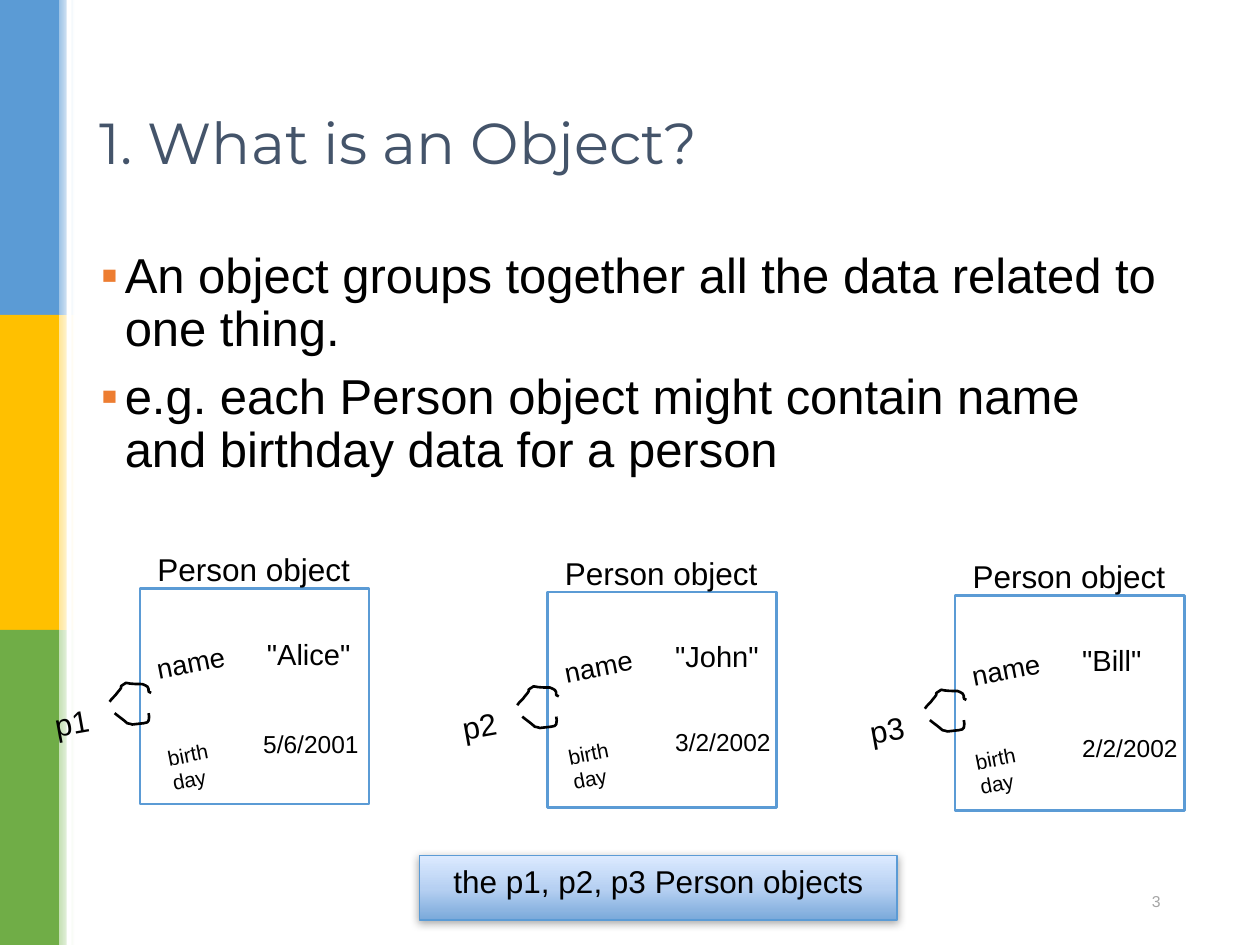
from lxml import etree
from pptx import Presentation
from pptx.dml.color import RGBColor
from pptx.enum import shapes, text
from pptx.oxml import parse_xml
from pptx.oxml.ns import nsdecls, qn
from pptx.util import Inches, Pt

rgb = RGBColor.from_string
BLUE = "5B9BD5"
RECTANGLE = shapes.MSO_SHAPE.RECTANGLE


def write(frame, content, size, font="Arial", color="000000", wrap=True,
          align=text.PP_ALIGN.LEFT, anchor=text.MSO_ANCHOR.TOP, bullet=None):
    """Fill a text frame, one paragraph for each line of content."""
    frame.auto_size = text.MSO_AUTO_SIZE.NONE
    frame.word_wrap = wrap
    frame.vertical_anchor = anchor
    for index, line in enumerate(content.split("\n")):
        paragraph = frame.paragraphs[0] if index == 0 else frame.add_paragraph()
        paragraph.text = line
        paragraph.alignment = align
        paragraph.space_before = Pt(0)
        if bullet:
            paragraph.line_spacing = 0.9
            paragraph.space_before = Pt(9 if index else 0)
            properties = paragraph._p.get_or_add_pPr()
            properties.set("marL", str(Inches(0.19)))
            properties.set("indent", str(-Inches(0.19)))
            bullet_color = etree.SubElement(properties, qn("a:buClr"))
            etree.SubElement(bullet_color, qn("a:srgbClr"), val="ED7D31")
            etree.SubElement(properties, qn("a:buFont"), typeface="Arial")
            etree.SubElement(properties, qn("a:buChar"), char=bullet)
        paragraph.font.size = Pt(size)
        paragraph.font.name = font
        paragraph.font.color.rgb = rgb(color)


def add_box(left, top, width, height, fill, line=None, line_width=1.5):
    """Add a rectangle; fill is one colour or a pair for a gradient."""
    shape = slide.shapes.add_shape(
        RECTANGLE, Inches(left), Inches(top), Inches(width), Inches(height))
    shape.shadow.inherit = False
    if isinstance(fill, str):
        shape.fill.solid()
        shape.fill.fore_color.rgb = rgb(fill)
    else:
        shape.fill.gradient()
        shape.fill.gradient_angle = 0
        for stop, color, position in zip(shape.fill.gradient_stops, fill, (0, 1)):
            stop.color.rgb = rgb(color)
            stop.position = position
    if line:
        shape.line.color.rgb = rgb(line)
        shape.line.width = Pt(line_width)
    else:
        shape.line.fill.background()
    return shape


presentation = Presentation()
presentation.slide_width, presentation.slide_height = Inches(10), Inches(7.5)
slide = presentation.slides.add_slide(presentation.slide_layouts[1])

# Coloured side band, moved to the layout behind the slide
bands = [(BLUE, "9DC3E6"), ("FFC000", "FFE699"), ("70AD47", "C5E0B4")]
band_shapes = []
for row, (color, tint) in enumerate(bands):
    band_shapes.append(add_box(0, 2.5 * row, 0.47, 2.5, color))
    band_shapes.append(add_box(0.47, 2.5 * row, 0.12, 2.5, (tint, "FFFFFF")))
band_shapes.append(add_box(0.53, 0, 0.04, 7.5, "FFFFFF"))
for shape in band_shapes:
    slide.slide_layout.shapes.element.append(shape.element)

# Title and list
title, body = slide.placeholders
title.left, title.top = Inches(0.69), Inches(0.4)
title.width, title.height = Inches(8.62), Inches(1.45)
write(title.text_frame, "1. What is an Object?", 33, font="Montserrat",
      color="44546A", anchor=text.MSO_ANCHOR.MIDDLE)
body.left, body.top = Inches(0.7), Inches(1.94)
body.width, body.height = Inches(8.62), Inches(2)
write(body.text_frame,
      "An object groups together all the data related to one thing.\n"
      "e.g. each Person object might contain name and birthday data for a person",
      28, bullet="▪")

# Hand-drawn hook strokes: start point, then Bezier control points in threes
strokes = [
    [(0.87, 5.57), (0.89, 5.54), (0.92, 5.52), (0.93, 5.5), (1.01, 5.41),
     (0.91, 5.48), (1, 5.42), (1.04, 5.43), (1.09, 5.43), (1.13, 5.43),
     (1.15, 5.44), (1.16, 5.44), (1.17, 5.45), (1.18, 5.46), (1.18, 5.47),
     (1.18, 5.49), (1.19, 5.49), (1.19, 5.5), (1.2, 5.5)],
    [(0.91, 5.66), (0.92, 5.67), (0.99, 5.72), (1.01, 5.74), (1.03, 5.74),
     (1.04, 5.75), (1.05, 5.75), (1.08, 5.75), (1.11, 5.74), (1.14, 5.74),
     (1.16, 5.73), (1.18, 5.74), (1.18, 5.72), (1.19, 5.7), (1.18, 5.68),
     (1.18, 5.66)],
]

# Person objects: variable, name, birthday, and places of the three fields
people = [
    ("p1", '"Alice"', "5/6/2001", (2.02, 5), (1.99, 5.74), (1.24, 5.81)),
    ("p2", '"John"', "3/2/2002", (5.26, 5.02), (5.26, 5.72), (4.42, 5.8)),
    ("p3", '"Bill"', "2/2/2002", (8.49, 5.05), (8.49, 5.77), (7.65, 5.84)),
]
for column, (variable, name, date, name_at, date_at, birthday_at) in enumerate(people):
    right, down = 6.47 * column / 2, 0.11 * column / 4
    add_box(1.11 + right, 4.67 + down, 1.82, 1.71, "FFFFFF", BLUE)

    labels = [
        ("name", 15.7, (1.14 + right, 5.07 + down), (0.8, 0.35), 348.9),
        ("birth\nday", 11.9, birthday_at, (0.8, 0.42), 348.9),
        (variable, 17.6, (0.33 + right, 5.53 + down), (0.53, 0.35), 349.8),
        ("Person object", 18, (1.15 + right, 4.32 + down), (1.75, 0.5), 0),
        (name, 16.6, name_at, (0.78, 0.37), 0),
        (date, 14, date_at, (0.78, 0.37), 0),
    ]
    for content, size, (left, top), (width, height), rotation in labels:
        label = slide.shapes.add_textbox(
            Inches(left), Inches(top), Inches(width), Inches(height))
        label.rotation = rotation
        write(label.text_frame, content, size, wrap=False)

    for stroke in strokes:
        points = [(Inches(x + right), Inches(y + down)) for x, y in stroke]
        builder = slide.shapes.build_freeform(*points[0])
        builder.add_line_segments(points[1:], close=False)
        hook = builder.convert_to_shape()
        hook.shadow.inherit = False
        hook.fill.background()
        hook.line.color.rgb = rgb("000000")
        hook.line.width = Pt(1.5)
        # Join every three points into one curve
        outline = hook.element.spPr.find(".//" + qn("a:path"))
        segments = outline.findall(qn("a:lnTo"))
        for first in range(0, len(segments), 3):
            curve = etree.SubElement(outline, qn("a:cubicBezTo"))
            for segment in segments[first:first + 3]:
                curve.append(segment[0])
                outline.remove(segment)

# Caption with a three-colour gradient and a soft shadow
caption = add_box(3.33, 6.79, 3.79, 0.51, ("7AA9DA", "DCEAFF"), BLUE, 1)
caption.fill.gradient_angle = 90
stops = caption.element.spPr.find(".//" + qn("a:gsLst"))
stops.insert(1, parse_xml(
    f'<a:gs {nsdecls("a")} pos="48000"><a:srgbClr val="B6D0F2"/></a:gs>'))
caption.element.spPr.find(qn("a:effectLst")).append(parse_xml(
    f'<a:outerShdw {nsdecls("a")} blurRad="{Pt(5)}" dist="{Pt(1)}" dir="5400000">'
    '<a:srgbClr val="000000"><a:alpha val="32000"/></a:srgbClr></a:outerShdw>'))
write(caption.text_frame, "the p1, p2, p3 Person objects", 18,
      align=text.PP_ALIGN.CENTER)

# Slide number
number = slide.shapes.add_textbox(Inches(6.62), Inches(6.95), Inches(2.69), Inches(0.4))
write(number.text_frame, "3", 9, color="A5A5A5", align=text.PP_ALIGN.RIGHT,
      anchor=text.MSO_ANCHOR.MIDDLE)

presentation.save("out.pptx")
